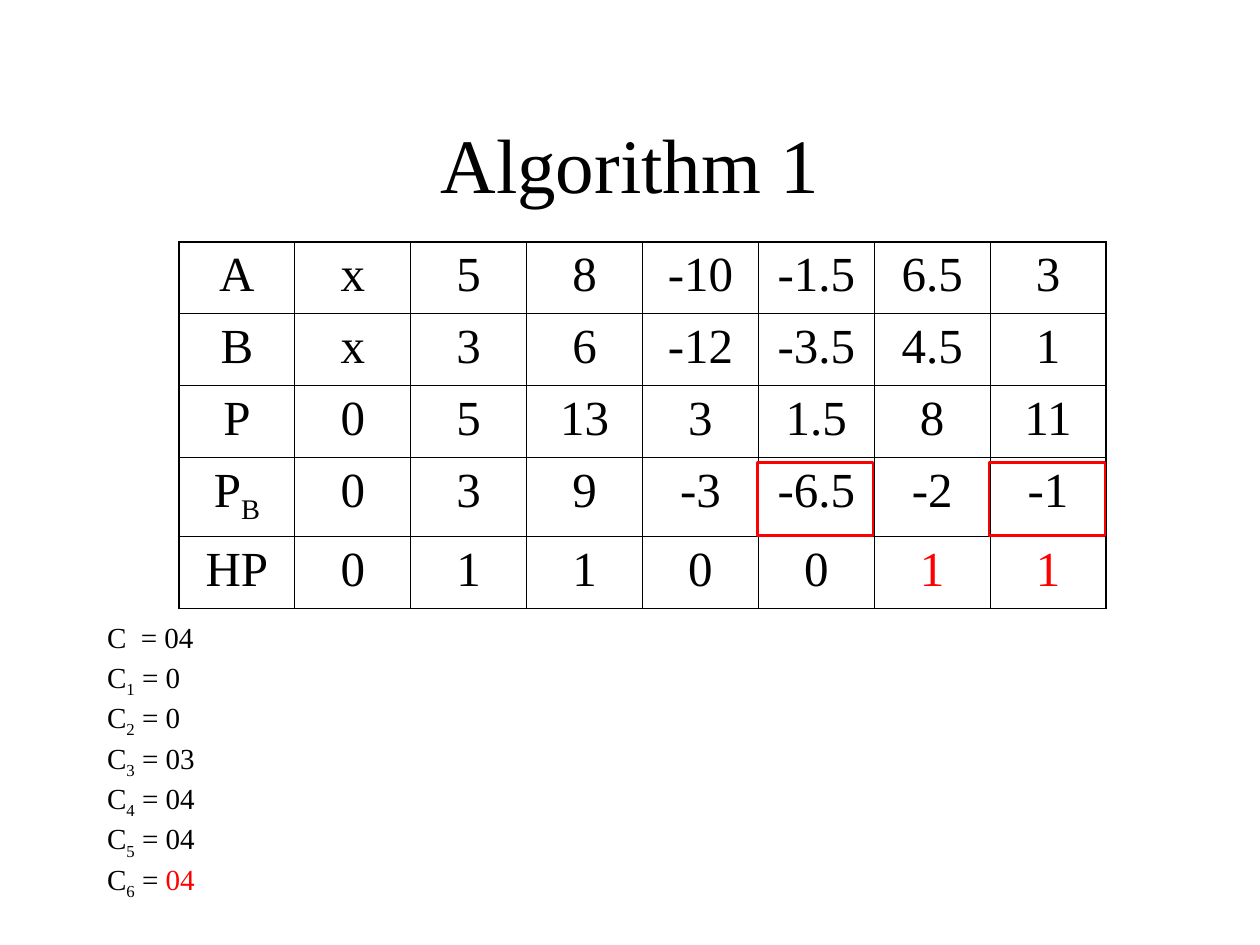
"""Build the Algorithm 1 slide: a table of running values and a list of counters."""
from dataclasses import dataclass

from lxml import etree
from pptx import Presentation
from pptx.dml.color import RGBColor
from pptx.enum.shapes import MSO_SHAPE
from pptx.enum.text import MSO_ANCHOR, MSO_AUTO_SIZE, PP_ALIGN
from pptx.oxml.ns import qn
from pptx.util import Inches, Pt

CENTER, LEFT = PP_ALIGN.CENTER, PP_ALIGN.LEFT
MIDDLE, TOP = MSO_ANCHOR.MIDDLE, MSO_ANCHOR.TOP
NO_FIT = MSO_AUTO_SIZE.NONE
RECT = MSO_SHAPE.RECTANGLE


@dataclass(frozen=True)
class Theme:
    font: str = "Times New Roman"
    ink: str = "000000"
    accent: str = "FF0000"
    title: float = 44
    cell: float = 28
    body: float = 16.6
    inner: float = 0.45
    outer: float = 1.08
    mark: float = 1.5


T = Theme()
TITLE = "Algorithm 1"
ROWS = [
    ("A", "x", "5", "8", "-10", "-1.5", "6.5", "3"),
    ("B", "x", "3", "6", "-12", "-3.5", "4.5", "1"),
    ("P", "0", "5", "13", "3", "1.5", "8", "11"),
    ("P_B", "0", "3", "9", "-3", "-6.5", "-2", "-1"),
    ("HP", "0", "1", "1", "0", "0", "1", "1"),
]
RED_CELLS = {(4, 6), (4, 7)}
MARKED_COLS = (5, 7)
COUNTERS = [("C  = ", "04"), ("C_1 = ", "0"), ("C_2 = ", "0"), ("C_3 = ", "03"),
            ("C_4 = ", "04"), ("C_5 = ", "04"), ("C_6 = ", "04")]

W, H, MARGIN = 10, 7.5, 0.75
COL_W, ROW_HEIGHTS = 0.92, (0.57, 0.57, 0.57, 0.63, 0.57)
GRID_X, GRID_Y = 1.42, 1.92
MARK_Y, MARK_H = 3.67, 0.58
PARAGRAPH = dict(alignment=LEFT, line_spacing=0.8)


def apply(obj, **values):
    for name, value in values.items():
        setattr(obj, name, value)


def add_run(p, text, size, color, sub=False):
    r = p.add_run()
    r.text = text
    apply(r.font, name=T.font, size=Pt(size))
    r.font.color.rgb = RGBColor.from_string(color)
    if sub:
        r.font._element.set("baseline", "-25000")


def write(p, text, size, color=T.ink):
    """Write text, lowering the one character that follows an underscore."""
    base, _, rest = text.partition("_")
    add_run(p, base, size, color)
    if rest:
        add_run(p, rest[0], size, color, sub=True)
    if rest[1:]:
        add_run(p, rest[1:], size, color)


def set_borders(cell, edges):
    tc_pr = cell._tc.get_or_add_tcPr()
    for side, is_outer in edges.items():
        width = Pt(T.outer if is_outer else T.inner)
        ln = etree.SubElement(tc_pr, qn(f"a:ln{side}"), w=str(int(width)))
        fill = etree.SubElement(ln, qn("a:solidFill"))
        etree.SubElement(fill, qn("a:srgbClr"), val=T.ink)


def place(shape, x, y, w, h, anchor):
    apply(shape, left=Inches(x), top=Inches(y), width=Inches(w), height=Inches(h))
    apply(shape.text_frame, auto_size=NO_FIT, word_wrap=True, vertical_anchor=anchor)
    return shape.text_frame


def add_title(s):
    tf = place(s.shapes.title, MARGIN, 0.67, W - 2 * MARGIN, 1.25, MIDDLE)
    p = tf.paragraphs[0]
    p.alignment = CENTER
    write(p, TITLE, T.title)


def add_counters(s):
    tf = place(s.placeholders[1], MARGIN, 4.92, W - 2 * MARGIN, 2.17, TOP)
    for i, (label, value) in enumerate(COUNTERS):
        p = tf.add_paragraph() if i else tf.paragraphs[0]
        p_pr = p._p.get_or_add_pPr()
        p_pr.set("marL", str(Inches(0.38)))
        p_pr.set("indent", str(-Inches(0.38)))
        etree.SubElement(p_pr, qn("a:buNone"))
        apply(p, space_before=Pt(5 if i else 0), **PARAGRAPH)
        write(p, label, T.body)
        write(p, value, T.body, T.accent if i == len(COUNTERS) - 1 else T.ink)


def add_grid(s):
    n_rows, n_cols = len(ROWS), len(ROWS[0])
    frame = s.shapes.add_table(n_rows, n_cols, Inches(GRID_X), Inches(GRID_Y),
                               Inches(COL_W * n_cols), Inches(sum(ROW_HEIGHTS)))
    table = frame.table
    apply(table, first_row=False, horz_banding=False)
    for col in table.columns:
        col.width = Inches(COL_W)
    for i, (row, height) in enumerate(zip(ROWS, ROW_HEIGHTS)):
        table.rows[i].height = Inches(height)
        for j, text in enumerate(row):
            cell = table.cell(i, j)
            set_borders(cell, {"L": j == 0, "R": j == n_cols - 1,
                               "T": i == 0, "B": i == n_rows - 1})
            cell.fill.background()
            p = cell.text_frame.paragraphs[0]
            p.alignment = CENTER
            write(p, text, T.cell, T.accent if (i, j) in RED_CELLS else T.ink)


def add_marks(s):
    for j in MARKED_COLS:
        sp = s.shapes.add_shape(RECT, Inches(GRID_X + j * COL_W - 0.01), Inches(MARK_Y),
                                Inches(COL_W), Inches(MARK_H))
        sp.shadow.inherit = False
        sp.fill.background()
        sp.line.color.rgb = RGBColor.from_string(T.accent)
        sp.line.width = Pt(T.mark)


def main():
    prs = Presentation()
    apply(prs, slide_width=Inches(W), slide_height=Inches(H))
    s = prs.slides.add_slide(prs.slide_layouts[1])
    for add_part in (add_title, add_counters, add_grid, add_marks):
        add_part(s)
    prs.save("out.pptx")


if __name__ == "__main__":
    main()
